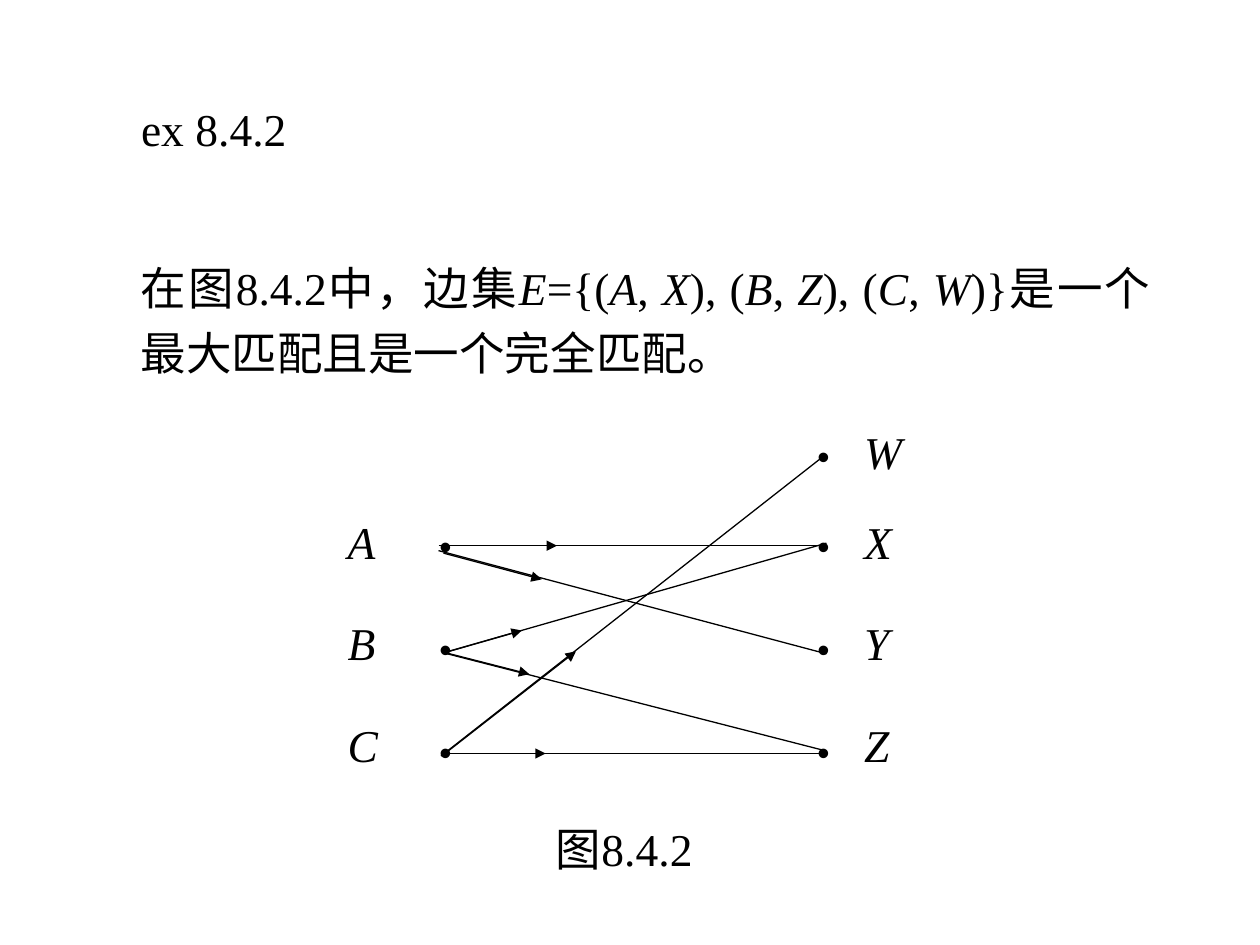
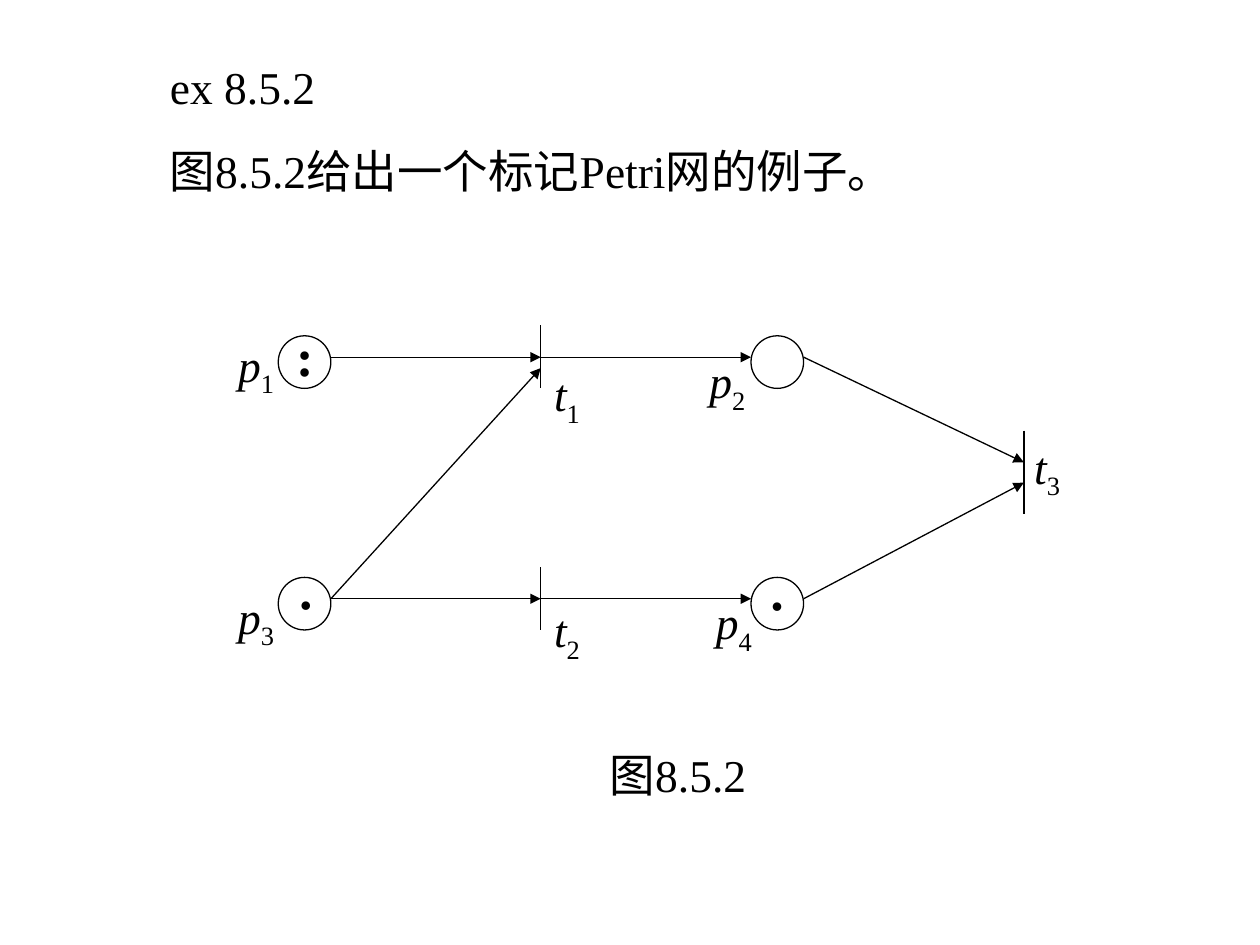
from dataclasses import dataclass
from typing import NamedTuple

from lxml.etree import SubElement
from pptx import Presentation
from pptx.dml.color import RGBColor
from pptx.enum.shapes import MSO_CONNECTOR, MSO_SHAPE
from pptx.enum.text import MSO_ANCHOR, MSO_AUTO_SIZE, PP_ALIGN
from pptx.oxml.ns import qn
from pptx.util import Cm, Pt

INK = RGBColor(0x00, 0x00, 0x00)
SERIF = "Times New Roman"
SANS = "Arial"
TEXT_SIZE = 26
LINE_HEIGHT = 1.37


class Run(NamedTuple):
    text: str
    italic: bool = False
    subscript: bool = False


class Box(NamedTuple):
    left: float
    top: float
    width: float
    height: float = LINE_HEIGHT


class Line(NamedTuple):
    x1: float
    y1: float
    x2: float
    y2: float


@dataclass(frozen=True)
class Style:
    size: int = TEXT_SIZE
    font: str = SERIF
    bold: bool = False
    align: PP_ALIGN = PP_ALIGN.LEFT
    spacing: float = 1.0
    wrap: bool = True


PLAIN = Style()
UNWRAPPED = Style(wrap=False)
CENTRED = Style(align=PP_ALIGN.CENTER)
STATEMENT = Style(align=PP_ALIGN.JUSTIFY, spacing=1.2)
VERTEX = Style(size=20, font=SANS, wrap=False)
TOKEN = Style(size=30, bold=True, wrap=False)


def place(shape, box: Box) -> None:
    shape.left, shape.top, shape.width, shape.height = map(Cm, box)


def write(shape, runs: list[Run], style: Style) -> None:
    frame = shape.text_frame
    frame.word_wrap = style.wrap
    frame.auto_size = MSO_AUTO_SIZE.SHAPE_TO_FIT_TEXT
    frame.vertical_anchor = MSO_ANCHOR.TOP
    paragraph = frame.paragraphs[0]
    paragraph.alignment = style.align
    paragraph.line_spacing = style.spacing
    font = paragraph.font
    font.name, font.size, font.bold = style.font, Pt(style.size), style.bold
    font.color.rgb = INK
    for part in runs:
        run = paragraph.add_run()
        run.text = part.text
        if part.italic:
            run.font.italic = True
        if part.subscript:
            run._r.get_or_add_rPr().set("baseline", "-25000")


def add_text(slide, box: Box, runs: list[Run], style: Style = PLAIN) -> None:
    write(slide.shapes.add_textbox(*map(Cm, box)), runs, style)


def add_line(slide, line: Line, arrow: bool = False) -> None:
    connector = slide.shapes.add_connector(MSO_CONNECTOR.STRAIGHT, *map(Cm, line))
    connector.line.color.rgb = INK
    connector.line.width = Pt(0.75)
    if arrow:
        SubElement(connector.line._get_or_add_ln(), qn("a:tailEnd"), type="triangle")
    SubElement(connector._element.spPr, qn("a:effectLst"))


def add_titled_slide(deck, title: str, box: Box):
    slide = deck.slides.add_slide(deck.slide_layouts[5])
    place(slide.shapes.title, box)
    write(slide.shapes.title, [Run(title)], PLAIN)
    return slide


def alternating(*texts: str) -> list[Run]:
    """Upright and italic runs in turn."""
    return [Run(text, italic=index % 2 == 1) for index, text in enumerate(texts)]


def build_matching(deck) -> None:
    slide = add_titled_slide(deck, "ex 8.4.2", Box(2.59, 1.9, 13.54))
    statement = alternating(
        "在图8.4.2中，边集", "E", "={(", "A", ", ", "X", "), (", "B", ", ", "Z",
        "), (", "C", ", ", "W", ")}是一个最大匹配且是一个完全匹配。")
    add_text(slide, Box(2.59, 4.89, 20.85, 2.9), statement, STATEMENT)

    # Vertices: name column, dot column, names and the row each starts from
    label_tops = [8.42, 10.24, 12.28, 14.32]
    dot_tops = [8.64, 10.44, 12.52, 14.61]
    for label_left, dot_left, names, first_row in (
            (6.76, 8.61, "ABC", 1), (17.17, 16.23, "WXYZ", 0)):
        for row, name in enumerate(names, first_row):
            add_text(slide, Box(label_left, label_tops[row], 1.27), [Run(name, True)])
            add_text(slide, Box(dot_left, dot_tops[row], 0.79, 1.12), [Run("•")], VERTEX)

    # Edges, each with a short arrow that shows its direction
    edges = {
        "AX": (Line(8.84, 11, 16.51, 11), Line(8.99, 11, 11.23, 11)),
        "AY": (Line(8.84, 11.1, 16.66, 13.18), Line(8.94, 11.15, 10.92, 11.68)),
        "BX": (Line(8.94, 13.16, 16.66, 10.95), Line(9.02, 13.14, 10.52, 12.71)),
        "BZ": (Line(8.94, 13.16, 16.66, 15.14), Line(8.99, 13.16, 10.67, 13.59)),
        "CZ": (Line(8.89, 15.19, 16.66, 15.19), Line(8.94, 15.19, 11, 15.19)),
        "CW": (Line(8.89, 15.24, 16.61, 9.19), Line(8.97, 15.19, 11.61, 13.13)),
    }
    for edge, direction in edges.values():
        add_line(slide, edge)
        add_line(slide, direction, arrow=True)

    add_text(slide, Box(10.26, 16.42, 4.65), [Run("图8.4.2")], CENTRED)


def build_petri_net(deck) -> None:
    slide = add_titled_slide(deck, "ex 8.5.2", Box(3.17, 1.07, 13.97))
    add_text(slide, Box(3.17, 2.75, 19.25), [Run("图8.5.2给出一个标记Petri网的例子。")])

    # Places
    diameter = 1.06
    place_lefts = (5.61, 15.14)
    for left in place_lefts:
        for top in (6.77, 11.64):
            circle = slide.shapes.add_shape(
                MSO_SHAPE.OVAL, *map(Cm, (left, top, diameter, diameter)))
            circle.shadow.inherit = False
            circle.fill.background()
            circle.line.color.rgb = INK
            circle.line.width = Pt(0.75)

    # Transitions
    middle_x, final_x = 10.9, 20.64
    for x, top, bottom in ((middle_x, 6.56, 7.83), (middle_x, 11.43, 12.7),
                           (final_x, 8.68, 10.37)):
        add_line(slide, Line(x, top, x, bottom))

    # Arcs
    upper_y, lower_y = 7.2, 12.07
    first_exit, second_exit = (left + diameter for left in place_lefts)
    for y, final_y in ((upper_y, 9.32), (lower_y, 9.73)):
        add_line(slide, Line(first_exit, y, middle_x, y), arrow=True)
        add_line(slide, Line(middle_x, y, place_lefts[1], y), arrow=True)
        add_line(slide, Line(second_exit, y, final_x, final_y), arrow=True)
    add_line(slide, Line(first_exit, lower_y, middle_x, 7.42), arrow=True)

    # Tokens
    for marking, left, top in ((":", 5.72, 6.4), ("·", 5.74, 11.38), ("·", 15.24, 11.4)):
        add_text(slide, Box(left, top, 0.86, 1.52), [Run(marking)], TOKEN)

    # Names of places and transitions, with room for the subscript
    widths = {"p": 1.3, "t": 1.05}
    for (letter, number), left, top in (
            ("p1", 4.55, 6.67), ("p3", 4.55, 11.75), ("t1", 10.92, 7.26),
            ("t2", 10.92, 12.02), ("p2", 14.05, 7), ("p4", 14.18, 11.86),
            ("t3", 20.6, 8.72)):
        add_text(slide, Box(left, top, widths[letter], 1.52),
                 [Run(letter, italic=True), Run(number, subscript=True)], UNWRAPPED)

    add_text(slide, Box(12.04, 14.94, 3.5), [Run("图8.5.2")], UNWRAPPED)


def main() -> None:
    deck = Presentation()
    deck.slide_width, deck.slide_height = Cm(25.4), Cm(19.05)
    build_matching(deck)
    build_petri_net(deck)
    deck.save("out.pptx")


if __name__ == "__main__":
    main()
